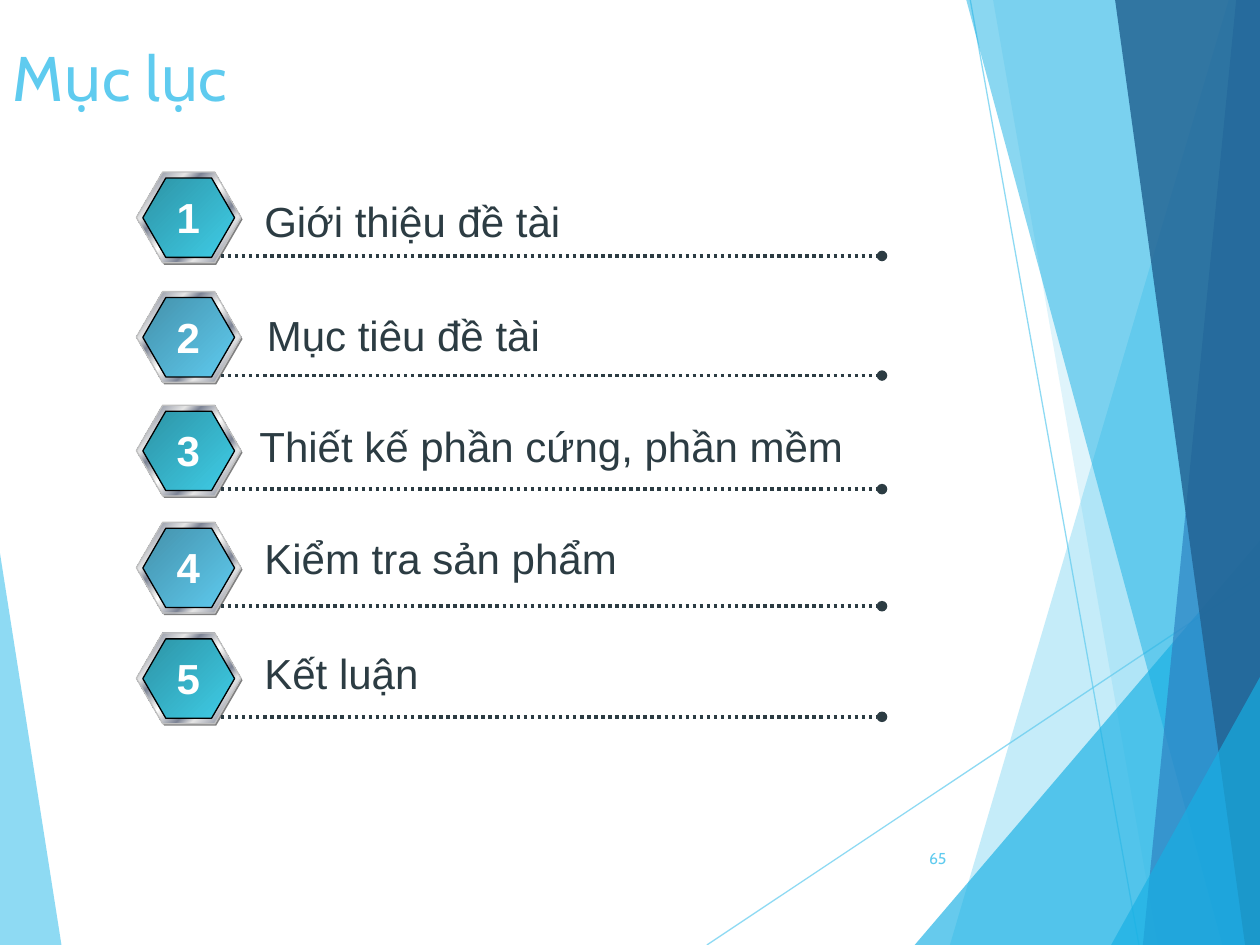
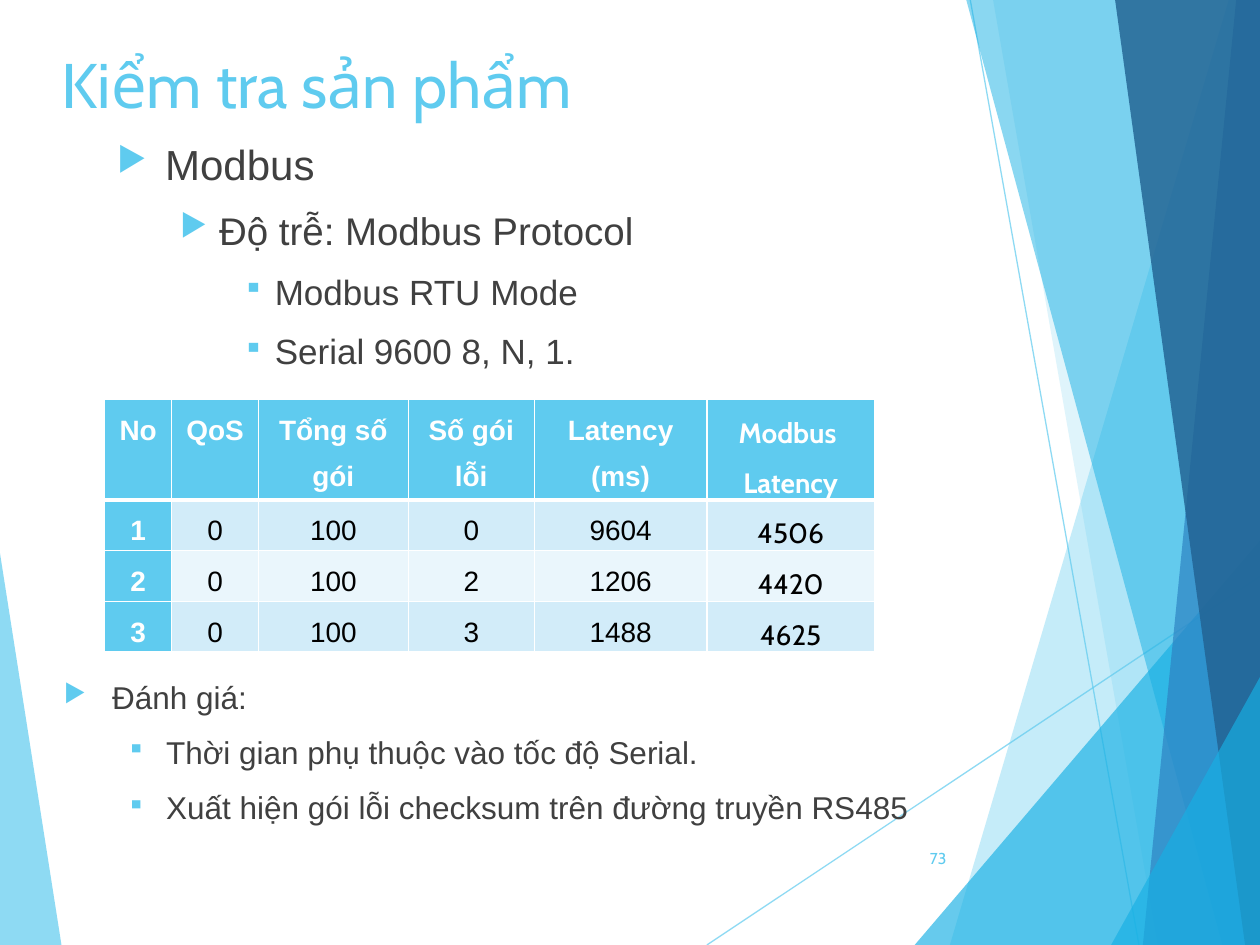
from lxml.etree import SubElement
from pptx import Presentation
from pptx.dml.color import RGBColor
from pptx.enum.dml import MSO_LINE
from pptx.enum.shapes import MSO_CONNECTOR, MSO_SHAPE
from pptx.enum.text import MSO_ANCHOR, MSO_AUTO_SIZE, PP_ALIGN
from pptx.oxml.ns import qn
from pptx.util import Cm, Pt

COLOURS = {
    "sky": "5FCBEF", "cyan": "17B0E4", "blue": "2E83C3", "navy": "226292",
    "slate": "2C3C43", "text": "404040", "white": "FFFFFF", "black": "000000",
    "shadow": "808080", "rim": "C0C0C0", "silver": "E6E6E6", "steel": "7D8496",
    "teal dark": "2D93A5", "teal light": "3FCDE7", "sky dark": "4491AB",
    "band dark": "D2ECF9", "band light": "EAF6FC",
}
RGB = {name: RGBColor.from_string(value) for name, value in COLOURS.items()}


def add_xml(parent, tag, **attributes):
    """Append a DrawingML element and return it."""
    return SubElement(parent, qn(tag), {key: str(value) for key, value in attributes.items()})


def write(frame, text, size, colour, font="Arial", bold=False, align=PP_ALIGN.LEFT):
    """Put text in a frame and format all of its runs."""
    frame.text = text
    for para in frame.paragraphs:
        para.alignment = align
        for span in para.runs:
            span.font.name = font
            span.font.size = Pt(size)
            span.font.bold = bold
            span.font.color.rgb = RGB[colour]


deck = Presentation()
deck.slide_width, deck.slide_height = Cm(25.4), Cm(19.05)
layout = deck.slide_layouts[5]
contents = deck.slides.add_slide(layout)
testing = deck.slides.add_slide(layout)

# Shared facets: drawn once, then moved to the layout
RIGHT, BOTTOM = 25.4, 19.05
facet_lines = [(14.25, BOTTOM, RIGHT, 11.62), (19.56, 0, 22.96, BOTTOM)]
facets = [
    ("sky", 70, [(0, 11.15), (1.24, BOTTOM), (0, BOTTOM)]),
    ("sky", 36, [(24.77, 0), (19.15, BOTTOM), (RIGHT, BOTTOM), (RIGHT, 0)]),
    ("sky", 20, [(20.02, 0), (23.34, BOTTOM), (RIGHT, BOTTOM), (RIGHT, 0)]),
    ("cyan", 66, [(18.44, BOTTOM), (RIGHT, 10.9), (RIGHT, BOTTOM)]),
    ("cyan", 50, [(19.48, 0), (24.64, BOTTOM), (RIGHT, BOTTOM), (RIGHT, 0)]),
    ("blue", 70, [(24.92, 0), (23.04, BOTTOM), (RIGHT, BOTTOM), (RIGHT, 0)]),
    ("navy", 82, [(22.48, 0), (25.1, BOTTOM), (RIGHT, BOTTOM), (RIGHT, 0)]),
    ("cyan", 66, [(22.4, BOTTOM), (RIGHT, 13.65), (RIGHT, BOTTOM)]),
]
decor = []
for ends in facet_lines:
    line = contents.shapes.add_connector(MSO_CONNECTOR.STRAIGHT, *map(Cm, ends))
    line.line.color.rgb = RGB["sky"]
    line.line.width = Pt(0.75)
    add_xml(line._element.spPr.find(".//" + qn("a:srgbClr")), "a:alpha", val=70000)
    add_xml(line._element.spPr, "a:effectLst")
    decor.append(line)
for colour, opacity, points in facets:
    corners = [(Cm(x), Cm(y)) for x, y in points]
    builder = contents.shapes.build_freeform(*corners[0])
    builder.add_line_segments(corners[1:])
    facet = builder.convert_to_shape()
    facet.shadow.inherit = False
    facet.line.fill.background()
    facet.fill.solid()
    facet.fill.fore_color.rgb = RGB[colour]
    add_xml(facet._element.spPr.find(".//" + qn("a:srgbClr")), "a:alpha", val=opacity * 1000)
    decor.append(facet)
for shape in decor:
    layout.shapes._spTree.append(shape._element)

# Titles and page numbers
for page, title, number, place in [
    (contents, "Mục lục", "65", (0, 0.64, 19.89, 1.57)),
    (testing, "Kiểm tra sản phẩm", "73", (0.99, 0.79, 17.63, 3.66)),
]:
    heading = page.shapes.title
    heading.left, heading.top, heading.width, heading.height = map(Cm, place)
    write(heading.text_frame, title, 36, "sky", "Cabin")
    heading.text_frame.vertical_anchor = MSO_ANCHOR.TOP
    heading.text_frame.auto_size = MSO_AUTO_SIZE.NONE
    box = page.shapes.add_textbox(Cm(17.91), Cm(16.79), Cm(1.42), Cm(1.02))
    box.text_frame.word_wrap = True
    box.text_frame.vertical_anchor = MSO_ANCHOR.MIDDLE
    write(box.text_frame, number, 9, "sky", "Cabin", align=PP_ALIGN.RIGHT)

# Contents: metal hexagon, dotted rule, label and number in each row
metal = [(0, "silver"), (7, "steel"), (26, "silver"), (34, "steel"), (46, "silver"),
         (50, "white"), (54, "silver"), (66, "steel"), (74, "silver"), (93, "steel"),
         (100, "silver")]
teal = [(0, "teal dark"), (100, "teal light")]
sky = [(0, "sky dark"), (100, "sky")]
chapters = [
    ("Giới thiệu đề tài", 5.16, 5.08, 3.81, 6.55),
    ("Mục tiêu đề tài", 7.57, 5.13, 6.12, 6.07),
    ("Thiết kế phần cứng, phần mềm", 9.86, 4.98, 8.36, 12.88),
    ("Kiểm tra sản phẩm", 12.22, 5.08, 10.62, 7.7),
    ("Kết luận", 14.45, 5.08, 12.93, 3.66),
]
for index, (label, rule_y, label_left, label_top, label_width) in enumerate(chapters):
    # left, rise above the rule, width, height, gradient stops, outline
    hexagons = [
        (2.78, 1.65, 2.11, 1.83, None, None),
        (2.75, 1.69, 2.11, 1.83, metal, "rim"),
        (2.88, 1.57, 1.85, 1.6, sky if index % 2 else teal, "black"),
    ]
    for left, rise, width, height, stops, outline in hexagons:
        hexagon = contents.shapes.add_shape(
            MSO_SHAPE.HEXAGON, Cm(left), Cm(rule_y - rise), Cm(width), Cm(height))
        hexagon.adjustments[0] = 0.29
        hexagon.shadow.inherit = False
        if stops:
            hexagon.fill.gradient()
            hexagon.fill.gradient_angle = 315
            stop_list = hexagon._element.spPr.find(".//" + qn("a:gsLst"))
            stop_list.clear()
            for position, colour in stops:
                stop = add_xml(stop_list, "a:gs", pos=position * 1000)
                add_xml(stop, "a:srgbClr", val=COLOURS[colour])
            hexagon.line.color.rgb = RGB[outline]
            hexagon.line.width = Pt(0.75)
        else:
            hexagon.fill.solid()
            hexagon.fill.fore_color.rgb = RGB["shadow"]
            hexagon.line.fill.background()

    rule = contents.shapes.add_connector(
        MSO_CONNECTOR.STRAIGHT, Cm(4.45), Cm(rule_y), Cm(17.78), Cm(rule_y))
    rule.line.color.rgb = RGB["slate"]
    rule.line.width = Pt(2)
    rule.line.dash_style = MSO_LINE.ROUND_DOT
    add_xml(rule.line._get_or_add_ln(), "a:tailEnd", type="oval")
    add_xml(rule._element.spPr, "a:effectLst")

    for text, left, top, width, colour, bold, align in [
        (label, label_left, label_top, label_width, "slate", False, PP_ALIGN.LEFT),
        (str(index + 1), 3.3, rule_y - 1.42, 0.99, "white", True, PP_ALIGN.CENTER),
    ]:
        box = contents.shapes.add_textbox(Cm(left), Cm(top), Cm(width), Cm(1.28))
        box.text_frame.word_wrap = False
        box.text_frame.auto_size = MSO_AUTO_SIZE.SHAPE_TO_FIT_TEXT
        write(box.text_frame, text, 24, colour, bold=bold, align=align)

# Testing: bulleted text above and below the table
indents = [(0.97, 0.97), (2.06, 0.79), (3.18, 0.64)]
outlines = [
    ((2.11, 2.67, 12.47, 2), [
        (0, "▶", 24, "Modbus"),
        (1, "▶", 22, "Độ trễ: Modbus Protocol"),
        (2, "▪", 20, "Modbus RTU Mode"),
        (2, "▪", 20, "Serial 9600 8, N, 1."),
    ]),
    ((1.04, 13.54, 18.42, 2), [
        (0, "▶", 18, "Đánh giá:"),
        (1, "▪", 18, "Thời gian phụ thuộc vào tốc độ Serial."),
        (1, "▪", 18, "Xuất hiện gói lỗi checksum trên đường truyền RS485"),
    ]),
]
for place, items in outlines:
    box = testing.shapes.add_textbox(*map(Cm, place))
    box.text_frame.word_wrap = True
    write(box.text_frame, "\n".join(item[3] for item in items), 18, "text")
    for position, (para, item) in enumerate(zip(box.text_frame.paragraphs, items)):
        level, bullet, size, _ = item
        margin, hanging = indents[level]
        para.level = level
        para.space_before = Pt(10 if position else 0)
        properties = para._p.get_or_add_pPr()
        properties.set("marL", str(Cm(margin)))
        properties.set("indent", str(-Cm(hanging)))
        add_xml(add_xml(properties, "a:buClr"), "a:srgbClr", val=COLOURS["sky"])
        add_xml(properties, "a:buSzPct", val=80000)
        add_xml(properties, "a:buChar", char=bullet)
        para.runs[0].font.size = Pt(size)

# Testing: latency table
rows = [
    ("No", "QoS", "Tổng số gói", "Số gói lỗi", "Latency (ms)", "Modbus \vLatency"),
    ("1", "0", "100", "0", "9604", "4506"),
    ("2", "0", "100", "2", "1206", "4420"),
    ("3", "0", "100", "3", "1488", "4625"),
]
column_widths = [1.35, 1.75, 3.02, 2.54, 3.48, 3.38]
table = testing.shapes.add_table(
    len(rows), len(column_widths), Cm(2.11), Cm(8.05), Cm(sum(column_widths)), Cm(5.08)).table
table.first_col = True
for column, width in zip(table.columns, column_widths):
    column.width = Cm(width)
for row_index, values in enumerate(rows):
    table.rows[row_index].height = Cm(1.02 if row_index else 2.02)
    for column_index, value in enumerate(values):
        is_header = row_index == 0 or column_index == 0
        cell = table.cell(row_index, column_index)
        cell.margin_left = cell.margin_right = Cm(0.18)
        cell.margin_top = cell.margin_bottom = 0
        write(cell.text_frame, value, 16, "white" if is_header else "black",
              "Cabin" if column_index == 5 else "Arial", is_header, PP_ALIGN.CENTER)
        cell.text_frame.paragraphs[0].line_spacing = 1.5
        cell_properties = cell._tc.get_or_add_tcPr()
        for side in "LRTB":
            heavy = (row_index, side) in [(0, "B"), (1, "T")]
            border = add_xml(cell_properties, "a:ln" + side, w=Pt(3 if heavy else 1))
            add_xml(add_xml(border, "a:solidFill"), "a:srgbClr", val=COLOURS["white"])
        band = "band dark" if row_index % 2 else "band light"
        cell.fill.solid()
        cell.fill.fore_color.rgb = RGB["sky" if is_header else band]

deck.save("out.pptx")
